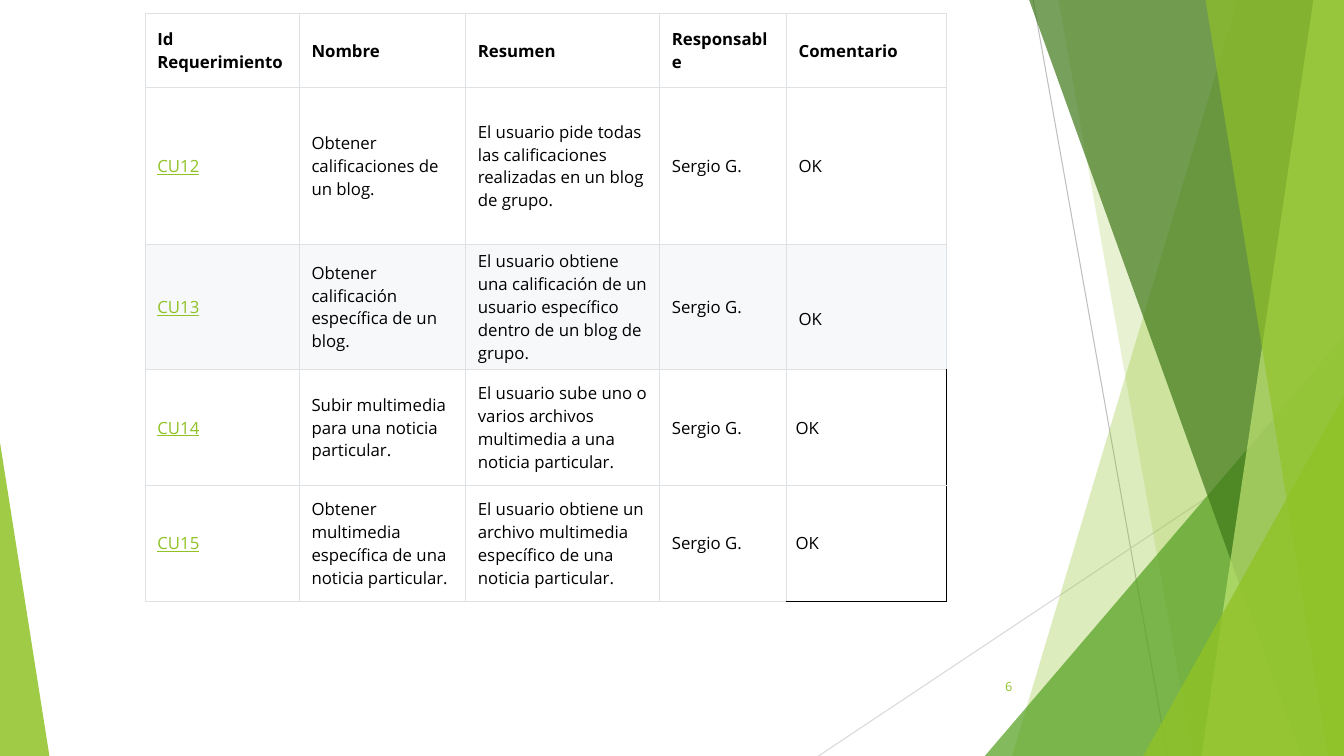
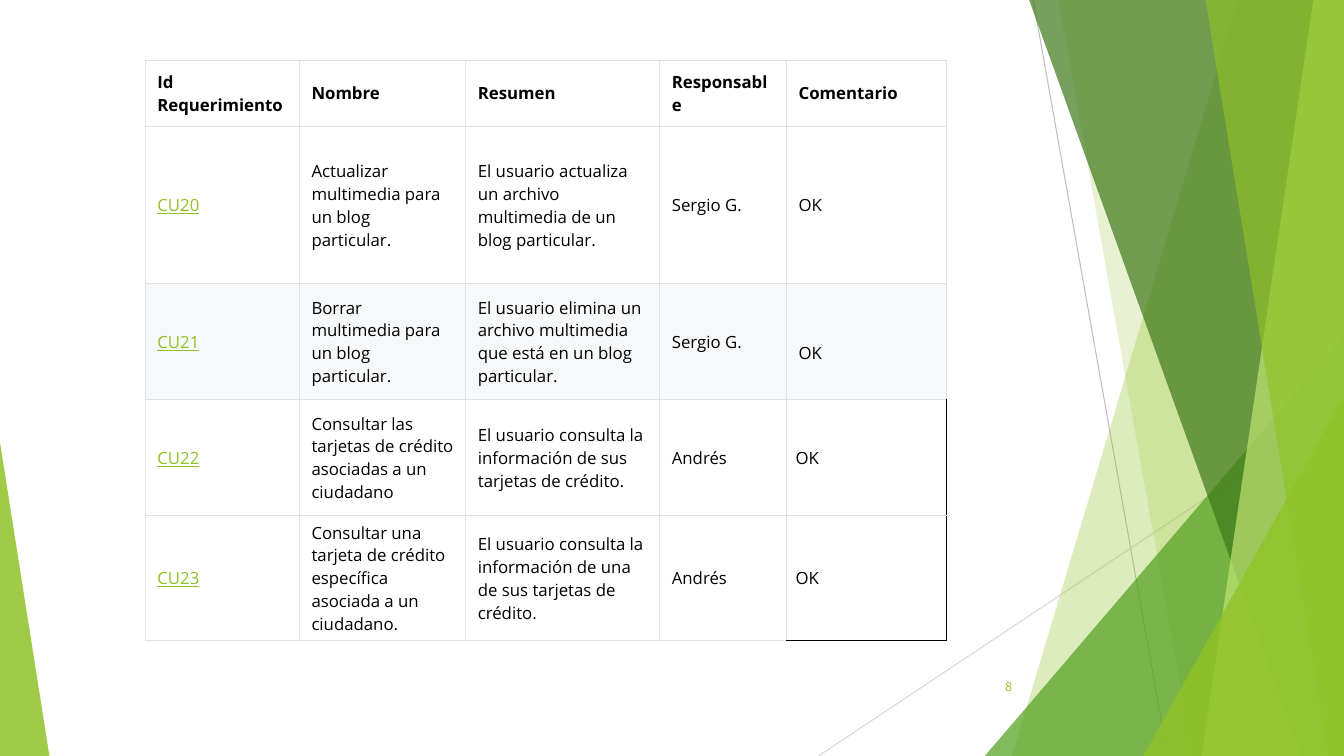
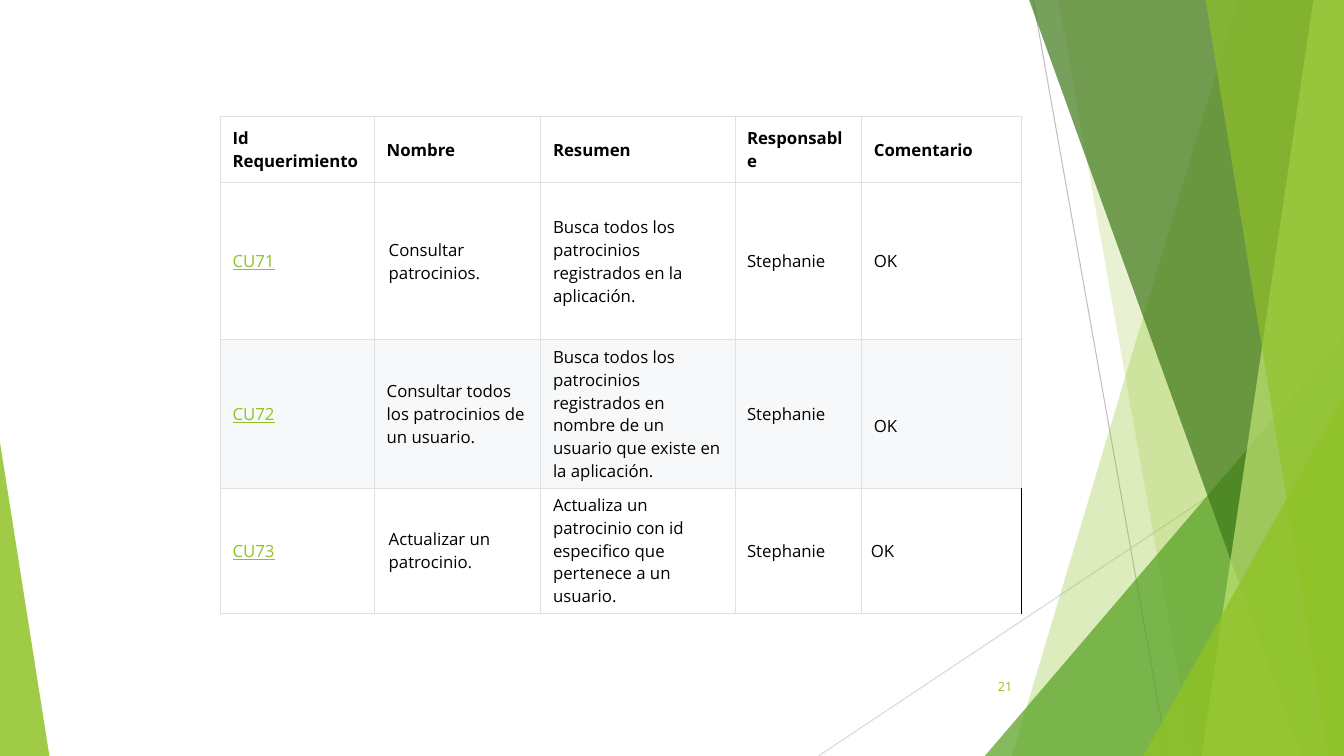
from lxml.etree import SubElement
from pptx import Presentation
from pptx.dml.color import RGBColor
from pptx.enum.shapes import MSO_CONNECTOR, MSO_SHAPE
from pptx.enum.text import MSO_ANCHOR, PP_ALIGN
from pptx.oxml.ns import qn
from pptx.util import Inches, Pt

# The slide is a grid of 160 columns by 90 rows, twelve to the inch.
WIDE, HIGH = 160, 90
FONT = "Open Sans"
GREEN, LEAF, MOSS, LIME = "90C226", "54A021", "3F7819", "C0E474"
BLACK, WHITE, STRIPE, EDGE = "000000", "FFFFFF", "F6F8FA", "DFE2E5"

HEAD = ("Id Requerimiento", "Nombre", "Resumen", "Responsable", "Comentario")
COLS = (18.35, 19.8, 23.1, 15.1, 19.05)
LAST = len(COLS) - 1
# Row heights: the first entry, then rows of four, five and six text lines.
TALL, FOUR, FIVE, SIX = 18.7, 13.8, 14.9, 17.65

PAGES = [
    dict(page="6", left=17.3, top=1.65, highs=(8.75, TALL, FIVE, FOUR, FOUR), rows=[
        ("CU12", "Obtener calificaciones de un blog.",
         "El usuario pide todas las calificaciones realizadas en un blog de grupo.",
         "Sergio G."),
        ("CU13", "Obtener calificación específica de un blog.",
         "El usuario obtiene una calificación de un usuario específico dentro "
         "de un blog de grupo.", "Sergio G."),
        ("CU14", "Subir multimedia para una noticia particular.",
         "El usuario sube uno o varios archivos multimedia a una noticia particular.",
         "Sergio G."),
        ("CU15", "Obtener multimedia específica de una noticia particular.",
         "El usuario obtiene un archivo multimedia específico de una noticia "
         "particular.", "Sergio G."),
    ]),
    dict(page="8", left=17.3, top=7.15, highs=(7.95, TALL, FOUR, FOUR, FIVE), rows=[
        ("CU20", "Actualizar multimedia para un blog particular.",
         "El usuario actualiza un archivo multimedia de un blog particular.",
         "Sergio G."),
        ("CU21", "Borrar multimedia para un blog particular.",
         "El usuario elimina un archivo multimedia que está en un blog particular.",
         "Sergio G."),
        ("CU22", "Consultar las tarjetas de crédito asociadas a un ciudadano",
         "El usuario consulta la información de sus tarjetas de crédito.",
         "Andrés"),
        ("CU23", "Consultar una tarjeta de crédito específica asociada a un ciudadano.",
         "El usuario consulta la información de una de sus tarjetas de crédito.",
         "Andrés"),
    ]),
    dict(page="21", left=26.25, top=13.85, highs=(7.9, TALL, SIX, FIVE),
         inset=0.14, base=EDGE, rows=[
        ("CU71", "Consultar patrocinios.",
         "Busca todos los patrocinios registrados en la aplicación.", "Stephanie"),
        ("CU72", "Consultar todos los patrocinios de un usuario.",
         "Busca todos los patrocinios registrados en nombre de un usuario que "
         "existe en la aplicación.", "Stephanie"),
        ("CU73", "Actualizar un patrocinio.",
         "Actualiza un patrocinio con id especifico que pertenece a un usuario.",
         "Stephanie"),
    ]),
]


def unit(count):
    """Turn grid units into a length."""
    return Inches(count / 12)


def tint(code):
    """Turn a hex string into a colour."""
    return RGBColor.from_string(code)


def write(frame, text, size=12, color=BLACK, bold=False, under=False,
          align=PP_ALIGN.LEFT):
    """Write one formatted paragraph into a text frame."""
    frame.word_wrap = True
    para = frame.paragraphs[0]
    para.alignment = align
    run = para.add_run()
    run.text = text
    font = run.font
    font.name, font.size, font.bold, font.underline = FONT, Pt(size), bold, under
    font.color.rgb = tint(color)


def paint(shape, color, alpha):
    """Give a shape a see-through fill, no line and no shadow."""
    shape.shadow.inherit = False
    shape.line.fill.background()
    shape.fill.solid()
    shape.fill.fore_color.rgb = tint(color)
    shade = shape._element.spPr.find(qn("a:solidFill"))[0]
    SubElement(shade, qn("a:alpha"), val=str(alpha * 1000))


def band(slide, top, foot, color, alpha):
    """Draw a full-height band from a slanted left side to the right edge."""
    pen = slide.shapes.build_freeform(unit(top), 0)
    pen.add_line_segments([(unit(WIDE), 0), (unit(WIDE), unit(HIGH)),
                           (unit(foot), unit(HIGH))])
    paint(pen.convert_to_shape(), color, alpha)


def peak(slide, left, top, width, lean, color, alpha):
    """Draw a triangle that stands on the bottom edge."""
    shape = slide.shapes.add_shape(
        MSO_SHAPE.ISOSCELES_TRIANGLE, unit(left), unit(top),
        unit(width), unit(HIGH - top))
    shape.adjustments[0] = lean
    paint(shape, color, alpha)


def rule(slide, start, end, color):
    """Draw a thin line between two grid points."""
    line = slide.shapes.add_connector(
        MSO_CONNECTOR.STRAIGHT, *map(unit, start + end))
    line.line.color.rgb = tint(color)
    line.line.width = Pt(0.75)
    SubElement(line._element.spPr, qn("a:effectLst"))


def decor(slide):
    """Draw the green facets that all slides share."""
    rule(slide, (123, 0), (139, HIGH), "BFBFBF")
    rule(slide, (WIDE, 48.36), (97.44, HIGH), "D9D9D9")
    band(slide, 147.36, 120.48, GREEN, 30)
    band(slide, 126, 142, GREEN, 20)
    peak(slide, 117.24, 40, 42.76, 1, LEAF, 72)
    band(slide, 122.52, 154.92, MOSS, 70)
    band(slide, 156.36, 143.04, LIME, 70)
    band(slide, 143.52, 158.16, GREEN, 65)
    peak(slide, 136.1, 47.16, 23.9, 1, GREEN, 80)
    peak(slide, 0, 52.68, 5.88, 0, GREEN, 85)


def number(slide, page):
    """Write the page number."""
    box = slide.shapes.add_textbox(unit(112.7), unit(79.3), unit(9), unit(4.8))
    box.text_frame.vertical_anchor = MSO_ANCHOR.MIDDLE
    write(box.text_frame, page, size=9, color=GREEN, align=PP_ALIGN.RIGHT)


def frame(cell, right=EDGE, base=EDGE):
    """Draw the four borders of a cell; dark ones are a little wider."""
    sides = dict(lnL=EDGE, lnR=right, lnT=EDGE, lnB=base)
    for side, color in sides.items():
        width = Pt(1) if color == BLACK else Pt(0.75)
        line = SubElement(cell._tc.get_or_add_tcPr(), qn("a:" + side),
                          w=str(int(width)))
        fill = SubElement(line, qn("a:solidFill"))
        SubElement(fill, qn("a:srgbClr"), val=color)


def fit(cell, side, edge, drop=0):
    """Set the insets of a cell in inches, with an extra drop at the top."""
    cell.vertical_anchor = MSO_ANCHOR.MIDDLE
    cell.margin_left = cell.margin_right = Inches(side)
    cell.margin_top, cell.margin_bottom = Inches(edge + drop), Inches(edge)


def grid(slide, left, top, highs, rows, inset=0.12, base=BLACK):
    """Draw the table of requirements."""
    table = slide.shapes.add_table(
        len(highs), len(COLS), unit(left), unit(top),
        unit(sum(COLS)), unit(sum(highs))).table
    table.first_row = table.horz_banding = False
    for col, width in zip(table.columns, COLS):
        col.width = unit(width)
    for row, high in zip(table.rows, highs):
        row.height = unit(high)
    lines = [HEAD] + [row + ("OK",) for row in rows]
    for r, line in enumerate(lines):
        for c, text in enumerate(line):
            cell = table.cell(r, c)
            striped, code = r == 2, r > 0 and c == 0
            plain = r > 2 and c == LAST
            if plain:
                frame(cell, BLACK, base if r == len(rows) else EDGE)
                fit(cell, 0.09, 0.04)
                cell.fill.background()
            else:
                frame(cell)
                roomy = c == 1 and r in (1, 3)
                fit(cell, inset if roomy else 0.12, 0.05,
                    drop=0.23 if striped and c == LAST else 0)
                cell.fill.solid()
                cell.fill.fore_color.rgb = tint(STRIPE if striped else WHITE)
            write(cell.text_frame, text, bold=r == 0, under=code,
                  color=GREEN if code else BLACK)


def main():
    """Build and save the slides."""
    deck = Presentation()
    deck.slide_width, deck.slide_height = unit(WIDE), unit(HIGH)
    for plan in PAGES:
        slide = deck.slides.add_slide(deck.slide_layouts[6])
        decor(slide)
        number(slide, plan["page"])
        grid(slide, **{key: plan[key] for key in plan if key != "page"})
    deck.save("out.pptx")


main()
